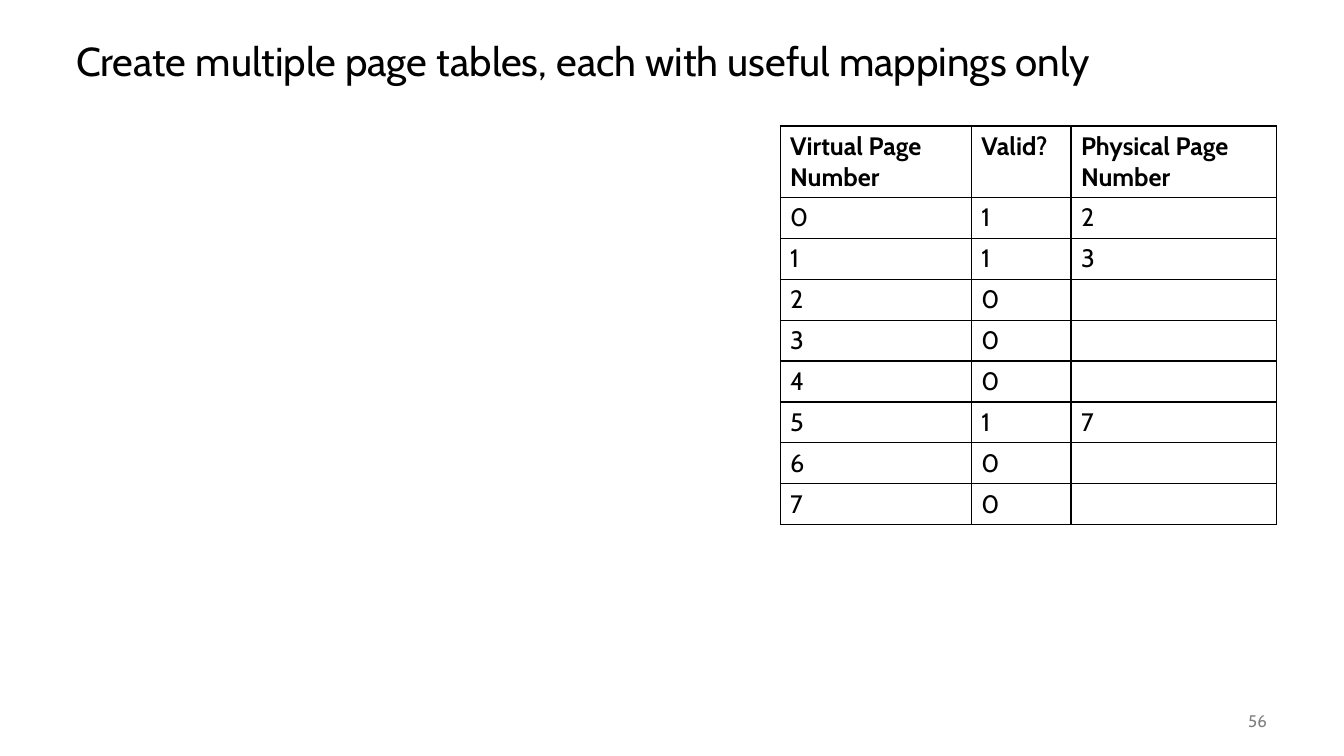
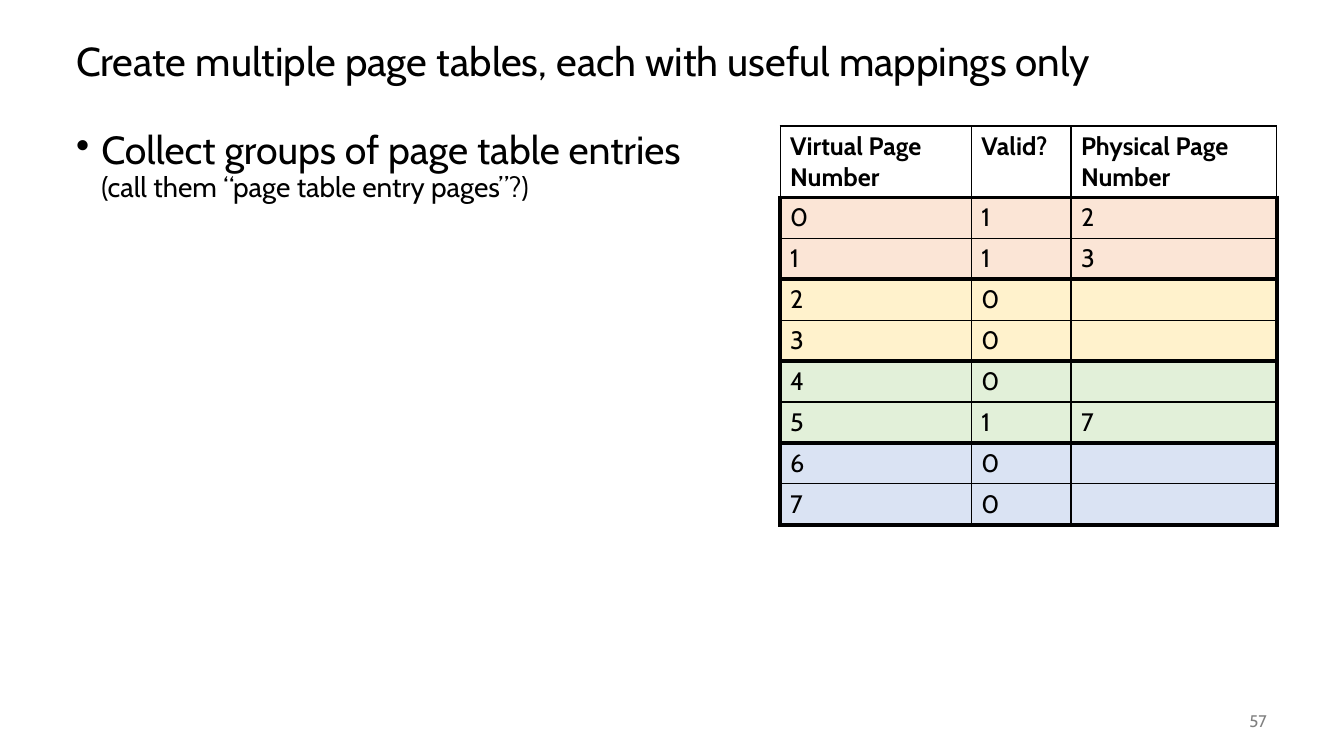
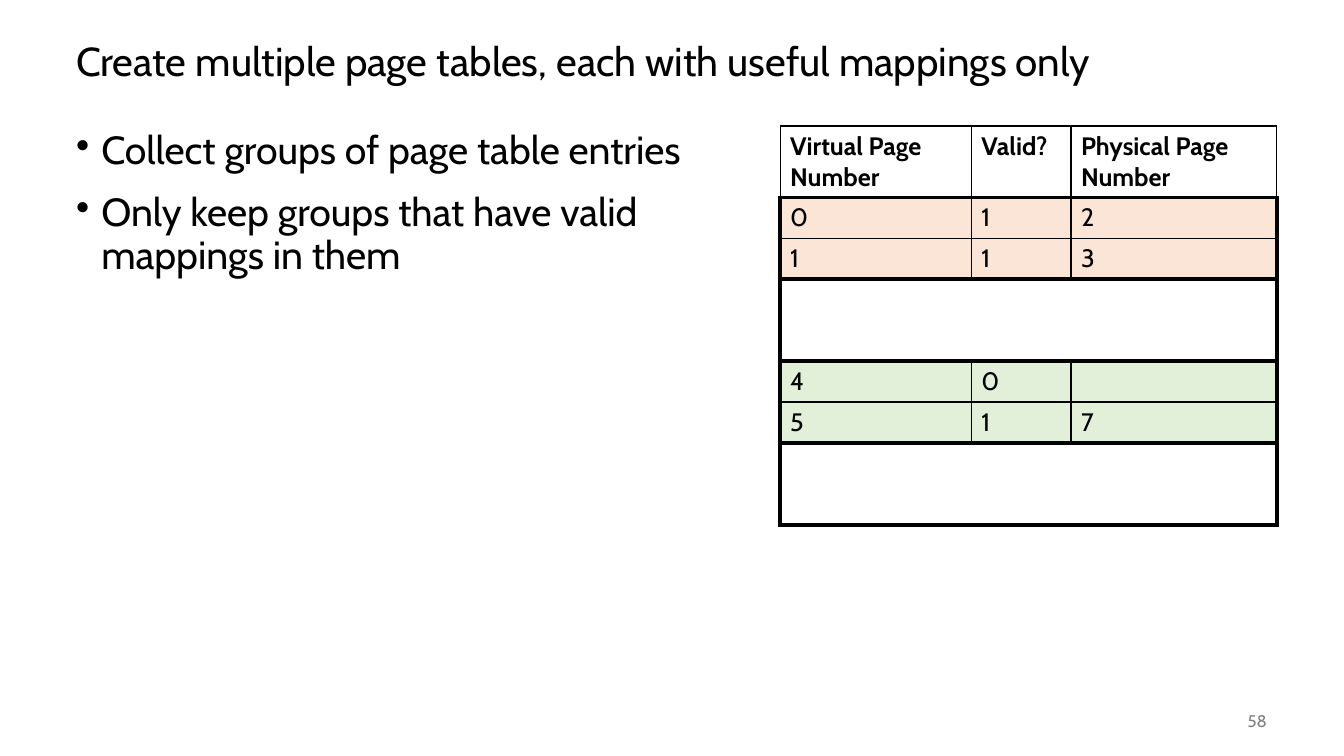
from lxml import etree
from pptx import Presentation
from pptx.dml.color import RGBColor
from pptx.enum.text import MSO_ANCHOR, PP_ALIGN
from pptx.oxml.ns import qn
from pptx.util import Pt

PX = 9525
MIDDLE, TOP = MSO_ANCHOR.MIDDLE, MSO_ANCHOR.TOP
LEFT, RIGHT = PP_ALIGN.LEFT, PP_ALIGN.RIGHT
FONT = "Cabin"
BLACK, GRAY, WHITE = "000000", "808080", "FFFFFF"
PEACH, YELLOW, GREEN, BLUE = "FBE5D6", "FFF2CC", "E2F0D9", "DAE3F3"

TITLE = "Create multiple page tables, each with useful mappings only"
COLLECT = "Collect groups of page table entries"
HEADER = ("Virtual Page Number", "Valid?", "Physical Page Number")
PHYSICAL_PAGES = ("2", "3", "", "", "", "7", "", "")
COL_WIDTHS = (182, 95, 196)
HEADER_HEIGHT, ROW_HEIGHT = 68, 39
GROUP_SIZE = 2
THIN, THICK = 1, 3


def rgb(color):
    return RGBColor.from_string(color)


def border(cell, side, width):
    """Draw one side (L, R, T or B) of a cell; a width of 0 hides it."""
    tcPr = cell._tc.get_or_add_tcPr()
    ln = etree.SubElement(tcPr, qn("a:ln" + side), w=str(Pt(width)))
    if width:
        fill = etree.SubElement(ln, qn("a:solidFill"))
        etree.SubElement(fill, qn("a:srgbClr"), val=BLACK)
    else:
        etree.SubElement(ln, qn("a:noFill"))


class Deck:
    def __init__(self):
        self.prs = Presentation()
        self.prs.slide_width, self.prs.slide_height = 1280 * PX, 720 * PX
        self.s = None

    def slide(self, number):
        self.s = self.prs.slides.add_slide(self.prs.slide_layouts[6])
        title = self.text(63, 24, 1152, 72, [TITLE], 28.8, anchor=MIDDLE)
        title.paragraphs[0].line_spacing = 0.9
        self.text(1120, 667, 96, 38, [str(number)], 12, GRAY, RIGHT, MIDDLE)

    def style(self, p, size, color=BLACK, bold=False):
        for r in p.runs:
            r.font.name, r.font.size, r.font.bold = FONT, Pt(size), bold
            r.font.color.rgb = rgb(color)

    def text(self, x, y, w, h, lines, size, color=BLACK, align=LEFT, anchor=TOP):
        tf = self.s.shapes.add_textbox(x * PX, y * PX, w * PX, h * PX).text_frame
        tf.word_wrap = True
        tf.vertical_anchor = anchor
        tf.text = "\n".join(lines)
        for p in tf.paragraphs:
            p.alignment = align
            self.style(p, size, color)
        return tf

    def bullets(self, lines):
        tf = self.text(63, 120, 665, 528, lines, 28)
        for i, p in enumerate(tf.paragraphs):
            pPr = p._p.get_or_add_pPr()
            pPr.set("marL", str(24 * PX))
            pPr.set("indent", str(-24 * PX))
            etree.SubElement(pPr, qn("a:buChar"), char="•")
            p.line_spacing = 0.9
            if i:
                p.space_before = Pt(14)
            for r in p.runs[1:]:
                r.font.size = Pt(20)

    def page_table(self, groups=()):
        """Draw the page table; each group is a fill colour, WHITE for a dropped group."""
        rows = [HEADER]
        for page, physical in enumerate(PHYSICAL_PAGES):
            rows.append((str(page), "1" if physical else "0", physical))
        height = HEADER_HEIGHT + ROW_HEIGHT * len(PHYSICAL_PAGES)
        table = self.s.shapes.add_table(
            len(rows), len(HEADER), 743 * PX, 120 * PX,
            sum(COL_WIDTHS) * PX, height * PX).table
        table.first_row = table.horz_banding = False
        for col, width in zip(table.columns, COL_WIDTHS):
            col.width = width * PX
        for i, row in enumerate(rows):
            table.rows[i].height = (ROW_HEIGHT if i else HEADER_HEIGHT) * PX
            fill = groups[(i - 1) // GROUP_SIZE] if groups and i else None
            dropped = fill == WHITE
            inner = 0 if dropped else THIN
            outer = THICK if fill else THIN

            def across(line):
                """Width of the rule above row number `line`."""
                on_edge = line > 0 and (line - 1) % GROUP_SIZE == 0
                return THICK if groups and on_edge else inner

            for j, value in enumerate(row):
                cell = table.cell(i, j)
                border(cell, "L", inner if j else outer)
                border(cell, "R", outer if j == len(row) - 1 else inner)
                border(cell, "T", across(i))
                border(cell, "B", across(i + 1))
                if fill:
                    cell.fill.solid()
                    cell.fill.fore_color.rgb = rgb(fill)
                else:
                    cell.fill.background()
                cell.text_frame.text = "" if dropped else value
                self.style(cell.text_frame.paragraphs[0], 18, bold=i == 0)


def main():
    deck = Deck()

    deck.slide(56)
    deck.page_table()

    deck.slide(57)
    deck.page_table((PEACH, YELLOW, GREEN, BLUE))
    deck.bullets([COLLECT + "\v(call them “page table entry pages”?)"])

    deck.slide(58)
    deck.page_table((PEACH, WHITE, GREEN, WHITE))
    deck.bullets([COLLECT, "Only keep groups that have valid mappings in them"])

    deck.prs.save("out.pptx")


if __name__ == "__main__":
    main()
